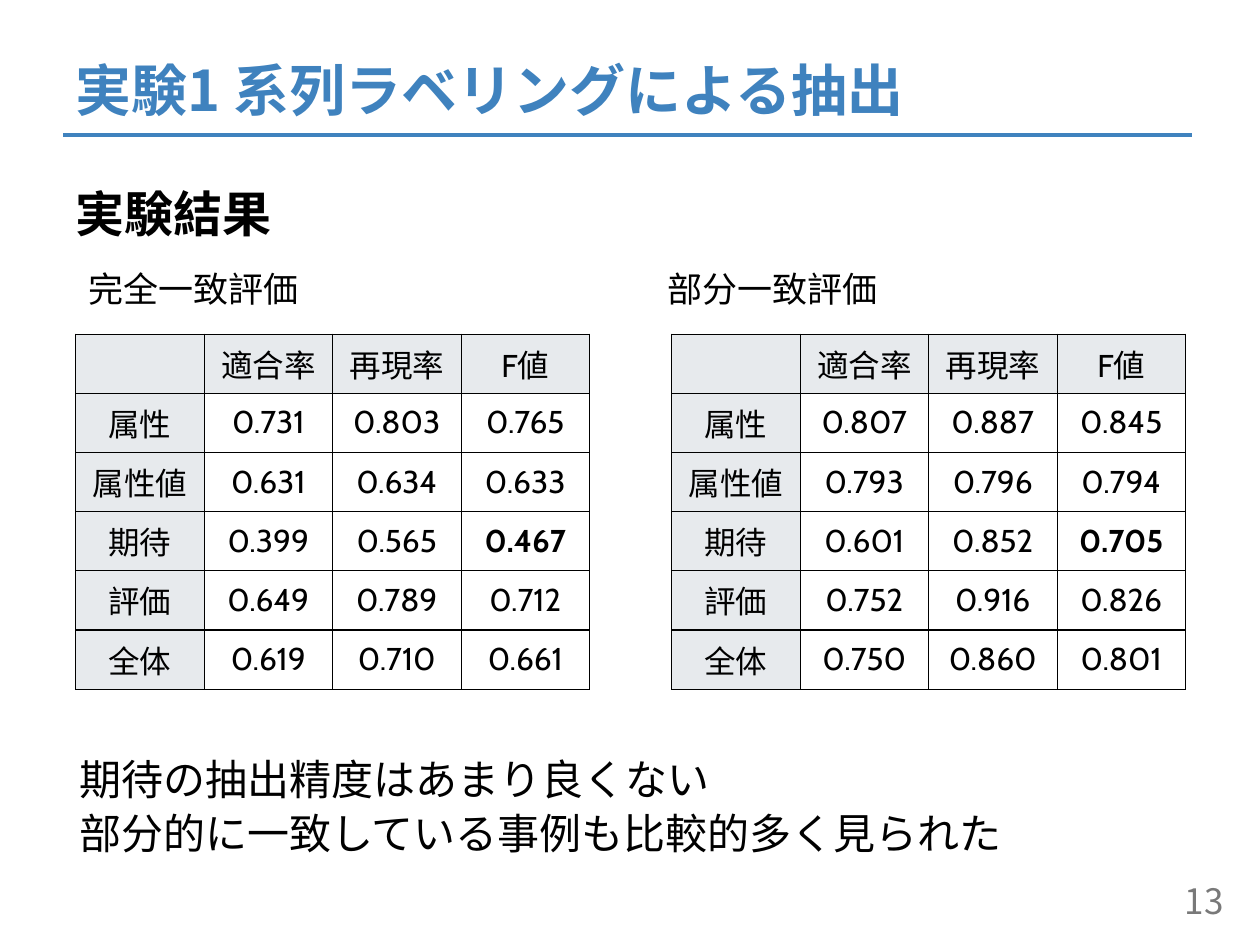
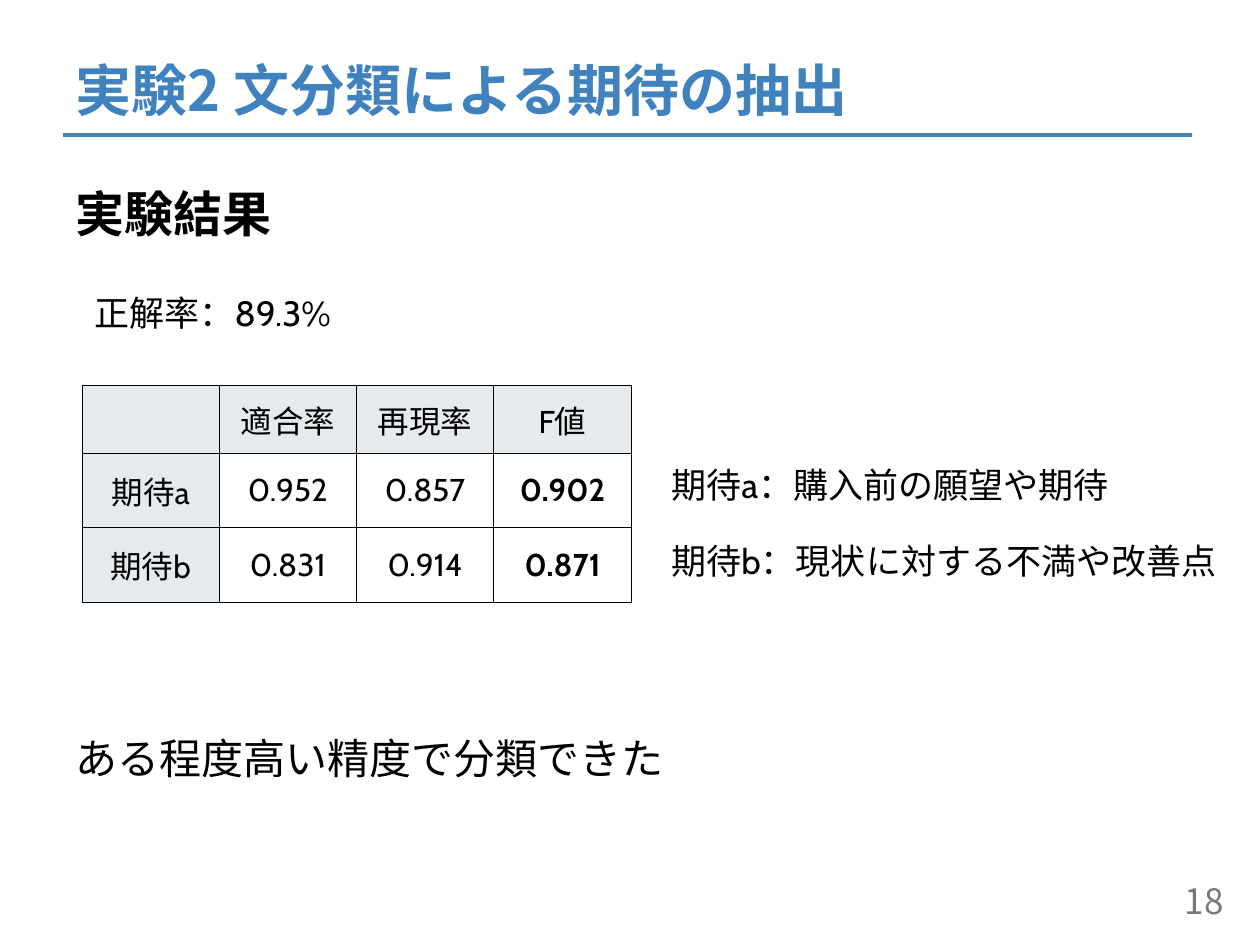
from dataclasses import dataclass

import pptx
import pptx.dml.color
import pptx.enum.shapes
import pptx.enum.text
import pptx.oxml.ns
import pptx.util
from lxml import etree

RGB = pptx.dml.color.RGBColor
ALIGN = pptx.enum.text.PP_ALIGN
ANCHOR = pptx.enum.text.MSO_ANCHOR
qn = pptx.oxml.ns.qn

BLUE = RGB(0x3F, 0x82, 0xBE)
BLACK = RGB(0, 0, 0)
GRAY = RGB(0x79, 0x79, 0x79)
HEADER_FILL = RGB(0xE7, 0xEA, 0xED)
NOTO = "Noto Sans CJK JP"
CABIN = "Cabin"

WIDTH, HEIGHT = pptx.util.Inches(10), pptx.util.Inches(7.5)
COLUMNS, ROWS = 100, 75
METRICS = ("適合率", "再現率", "F値")


@dataclass(frozen=True)
class Box:
    left: float
    top: float
    width: float
    height: float

    def emu(self) -> tuple[int, int, int, int]:
        return col(self.left), row(self.top), col(self.width), row(self.height)


@dataclass(frozen=True)
class ScoreTable:
    box: Box
    row_heights: tuple[float, ...]
    scores: dict[str, tuple[str, ...]]
    bold_rows: tuple[str, ...]
    total_row: str = ""


TITLE_BOX = Box(5, 2.8, 86.2, 9.6)
HEADING_BOX = Box(5, 14.6, 61.2, 5.4)
NUMBER_BOX = Box(75.6, 69.5, 22.5, 4)


def col(n: float) -> int:
    return round(WIDTH * n / COLUMNS)


def row(n: float) -> int:
    return round(HEIGHT * n / ROWS)


def write(tf, text: str, *, size: float, font: str = NOTO, color: RGB = BLACK,
          bold: bool = False, align=ALIGN.LEFT, line: float = 1, gap: float = 0) -> None:
    for i, words in enumerate(text.split("\n")):
        p = tf.paragraphs[0] if i == 0 else tf.add_paragraph()
        p.alignment = align
        p.line_spacing = line
        p.space_before = pptx.util.Pt(gap if i else 0)
        r = p.add_run()
        r.text = words
        r.font.name = font
        r.font.size = pptx.util.Pt(size)
        r.font.bold = bold
        r.font.color.rgb = color
        etree.SubElement(r._r.get_or_add_rPr(), qn("a:ea")).set("typeface", NOTO)


def add_text(s, box: Box, text: str, anchor=ANCHOR.TOP, **fmt) -> None:
    tf = s.shapes.add_textbox(*box.emu()).text_frame
    tf.word_wrap = True
    tf.vertical_anchor = anchor
    write(tf, text, **fmt)


def set_borders(cell, top: float, bottom: float) -> None:
    tc_pr = cell._tc.get_or_add_tcPr()
    sides = (("L", 0.5), ("R", 0.5), ("T", top), ("B", bottom))
    for i, (side, width) in enumerate(sides):
        ln = etree.Element(qn(f"a:ln{side}"), w=str(pptx.util.Pt(width)))
        fill = etree.SubElement(ln, qn("a:solidFill"))
        etree.SubElement(fill, qn("a:srgbClr")).set("val", str(BLACK))
        tc_pr.insert(i, ln)


def add_scores(s, spec: ScoreTable) -> None:
    grid = [("", *METRICS)] + [(name, *values) for name, values in spec.scores.items()]
    table = s.shapes.add_table(len(grid), len(grid[0]), *spec.box.emu()).table
    table.first_row = table.horz_banding = False
    for column in table.columns:
        column.width = col(spec.box.width / len(grid[0]))
    for i, values in enumerate(grid):
        table.rows[i].height = row(spec.row_heights[i])
        below = grid[i + 1][0] if i + 1 < len(grid) else None
        top = 1 if i and values[0] == spec.total_row else 0.5
        bottom = 1 if below and below == spec.total_row else 0.5
        for j, value in enumerate(values):
            cell = table.cell(i, j)
            cell.vertical_anchor = ANCHOR.MIDDLE
            if i == 0 or j == 0:
                cell.fill.solid()
                cell.fill.fore_color.rgb = HEADER_FILL
            else:
                cell.fill.background()
            set_borders(cell, top, bottom)
            if value:
                bold = j == len(METRICS) and values[0] in spec.bold_rows
                write(cell.text_frame, value, size=18, font=CABIN, bold=bold,
                      align=ALIGN.CENTER)


def add_result_slide(prs, title: str, number: int):
    s = prs.slides.add_slide(prs.slide_layouts[6])
    rule = s.shapes.add_connector(pptx.enum.shapes.MSO_CONNECTOR.STRAIGHT,
                                  col(5), row(10.7), col(94.6), row(10.7))
    rule.line.color.rgb = BLUE
    rule.line.width = pptx.util.Pt(2.25)
    etree.SubElement(rule._element.spPr, qn("a:effectLst"))
    add_text(s, TITLE_BOX, title, ANCHOR.MIDDLE, size=32, color=BLUE, bold=True, line=0.8)
    add_text(s, HEADING_BOX, "実験結果", ANCHOR.MIDDLE, size=28, bold=True, line=0.8)
    add_text(s, NUMBER_BOX, str(number), ANCHOR.MIDDLE, size=20, color=GRAY,
             align=ALIGN.RIGHT)
    return s


def add_labeling_slide(prs) -> None:
    s = add_result_slide(prs, "実験1 系列ラベリングによる抽出", 13)
    exact = {
        "属性": ("0.731", "0.803", "0.765"),
        "属性値": ("0.631", "0.634", "0.633"),
        "期待": ("0.399", "0.565", "0.467"),
        "評価": ("0.649", "0.789", "0.712"),
        "全体": ("0.619", "0.710", "0.661"),
    }
    partial = {
        "属性": ("0.807", "0.887", "0.845"),
        "属性値": ("0.793", "0.796", "0.794"),
        "期待": ("0.601", "0.852", "0.705"),
        "評価": ("0.752", "0.916", "0.826"),
        "全体": ("0.750", "0.860", "0.801"),
    }
    for label, label_left, table_left, scores in (
        ("完全一致評価", 6, 6, exact),
        ("部分一致評価", 52, 53.3, partial),
    ):
        add_text(s, Box(label_left, 21.4, 20.8, 5.2), label, size=20, font=CABIN, line=0.8)
        add_scores(s, ScoreTable(Box(table_left, 26.5, 40.8, 28.2), (4.7,) * 6,
                                 scores, ("期待",), "全体"))
    add_text(s, Box(5.3, 60.1, 91.2, 11.4),
             "期待の抽出精度はあまり良くない\n部分的に一致している事例も比較的多く見られた",
             size=24, line=0.8, gap=8)


def add_classification_slide(prs) -> None:
    s = add_result_slide(prs, "実験2 文分類による期待の抽出", 18)
    scores = {
        "期待a": ("0.952", "0.857", "0.902"),
        "期待b": ("0.831", "0.914", "0.871"),
    }
    add_scores(s, ScoreTable(Box(6.5, 30.6, 43.6, 17.2), (5.4, 5.9, 5.9),
                             scores, tuple(scores)))
    add_text(s, Box(6.5, 23.1, 28.4, 4.4), "正解率：89.3%", size=20, font=CABIN, line=0.88)
    add_text(s, Box(5, 58.4, 61.2, 5.4), "ある程度高い精度で分類できた",
             size=24, font=CABIN, line=0.8)
    add_text(s, Box(52.3, 36.7, 54.3, 11.1),
             "期待a：購入前の願望や期待\n期待b：現状に対する不満や改善点",
             size=20, font=CABIN, line=0.88, gap=22.5)


def main() -> None:
    prs = pptx.Presentation()
    prs.slide_width, prs.slide_height = WIDTH, HEIGHT
    add_labeling_slide(prs)
    add_classification_slide(prs)
    prs.save("out.pptx")


if __name__ == "__main__":
    main()
